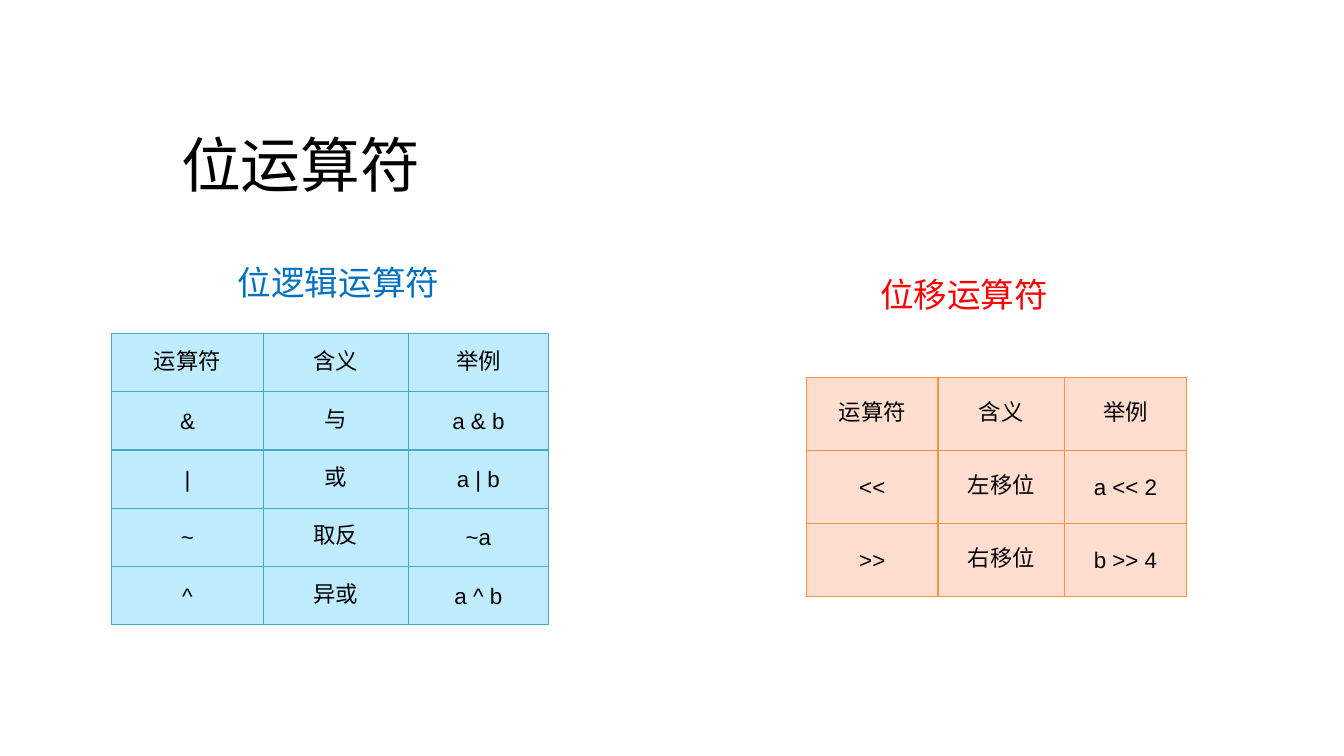
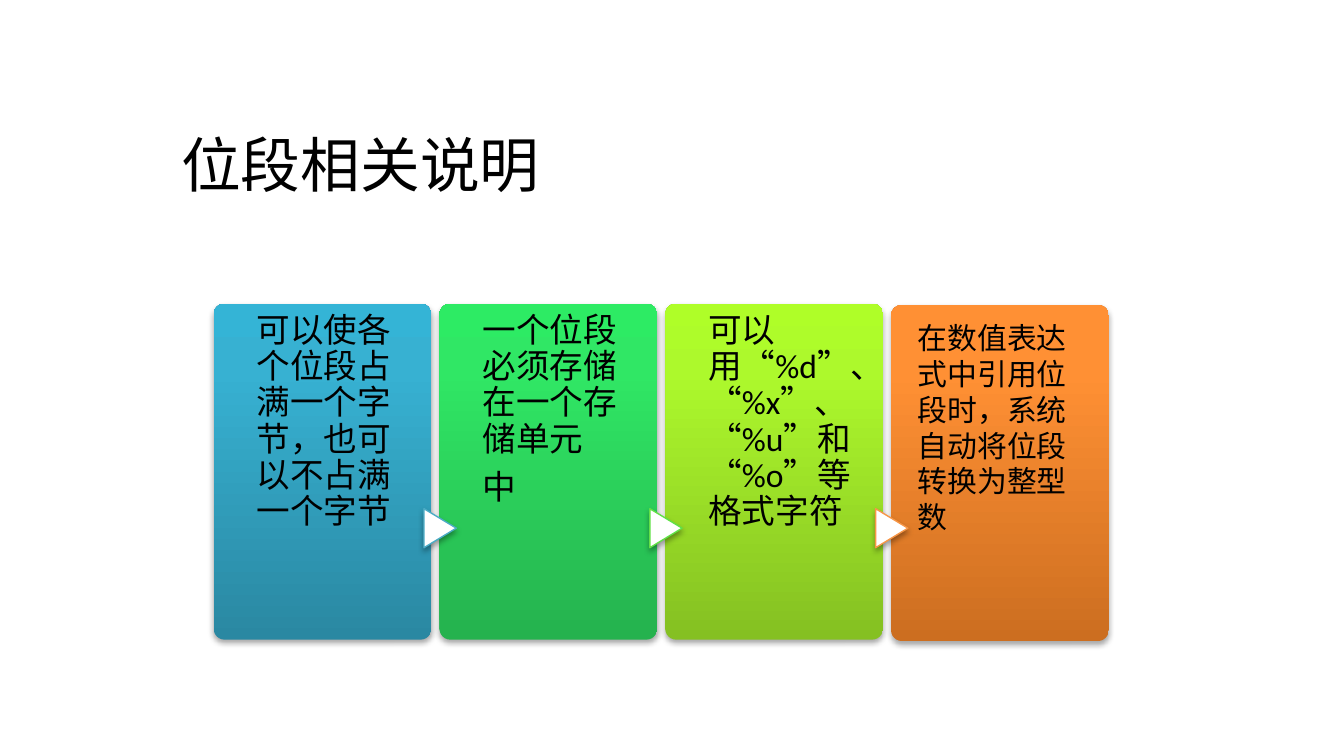
"""Builds two slides on bitwise operators and bit fields."""
from copy import deepcopy

from lxml.etree import SubElement
from pptx import Presentation
from pptx.dml.color import RGBColor
from pptx.enum.shapes import MSO_SHAPE as Preset
from pptx.enum.text import MSO_ANCHOR as Anchor, MSO_AUTO_SIZE as AutoSize, PP_ALIGN as Align
from pptx.oxml.ns import qn
from pptx.util import Inches, Pt

BLACK, WHITE = "000000", "FFFFFF"
HEADINGS = ["运算符", "含义", "举例"]


def color(text):
    return RGBColor.from_string(text)


class Slides:
    columns, rows = 100, 56.25
    head_font, body_font = "Calibri", "Arial"

    def __init__(self):
        self.deck = Presentation()
        self.deck.slide_width = Inches(10)
        self.deck.slide_height = Inches(5.625)
        self.page = None

    def place(self, left, top, width, height):
        column = self.deck.slide_width / self.columns
        row = self.deck.slide_height / self.rows
        return [round(n * unit) for n, unit in zip((left, top, width, height), (column, row) * 2)]

    def new_page(self, title, width):
        self.page = self.deck.slides.add_slide(self.deck.slide_layouts[6])
        self.text([title], (12.5, 9, width, 6.7), 32, self.head_font)

    def style(self, para, size, font, ink=BLACK):
        para.font.size = Pt(size)
        para.font.name = font
        para.font.color.rgb = color(ink)

    def text(self, lines, area, size, font, ink=BLACK, wrap=True):
        box = self.page.shapes.add_textbox(*self.place(*area))
        frame = box.text_frame
        frame.word_wrap = wrap
        frame.text = "\n".join(lines)
        for para in frame.paragraphs:
            self.style(para, size, font, ink)
        return frame

    def caption(self, words, area, ink):
        frame = self.text([words], area, 18, self.body_font, ink, wrap=False)
        frame.auto_size = AutoSize.SHAPE_TO_FIT_TEXT

    def card_text(self, lines, area, size, spacing=None, after=None):
        frame = self.text(lines, area, size, self.head_font)
        frame.margin_left = frame.margin_right = frame.margin_bottom = 0
        frame.margin_top = Inches(0.07)
        for para in frame.paragraphs:
            para.line_spacing = spacing
            para.space_after = after

    def table(self, rows, area, widths, fill, edge):
        grid = self.page.shapes.add_table(len(rows), len(widths), *self.place(*area)).table
        for column, width in zip(grid.columns, widths):
            column.width = self.place(width, 0, 0, 0)[0]
        for r, row in enumerate(rows):
            for c, words in enumerate(row):
                self.cell(grid.cell(r, c), words, fill, edge)

    def cell(self, cell, words, fill, edge):
        cell.text = words
        cell.vertical_anchor = Anchor.MIDDLE
        cell.margin_left = cell.margin_right = Inches(0.07)
        cell.margin_top = cell.margin_bottom = 0
        para = cell.text_frame.paragraphs[0]
        para.alignment = Align.CENTER
        para.line_spacing = Pt(14)
        self.style(para, 12, self.body_font)
        borders = cell._tc.get_or_add_tcPr()
        for side in ("a:lnL", "a:lnR", "a:lnT", "a:lnB"):
            line = SubElement(borders, qn(side), w=str(Pt(0.75)))
            SubElement(SubElement(line, qn("a:solidFill")), qn("a:srgbClr"), val=edge)
        cell.fill.solid()
        cell.fill.fore_color.rgb = color(fill)

    def shadow(self, shape):
        shape.shadow.inherit = False
        effects = shape._element.spPr.find(qn("a:effectLst"))
        outer = SubElement(effects, qn("a:outerShdw"), blurRad=str(Pt(3.1)), dist=str(Pt(1.8)),
                           dir="5400000", rotWithShape="0")
        ink = SubElement(outer, qn("a:srgbClr"), val=BLACK)
        SubElement(ink, qn("a:alpha"), val="35000")

    def card(self, area, shades):
        shape = self.page.shapes.add_shape(Preset.ROUNDED_RECTANGLE, *self.place(*area))
        shape.adjustments[0] = 0.05
        shape.line.fill.background()
        shape.fill.gradient()
        shape.fill.gradient_angle = 90
        stops = shape._element.spPr.find(qn("a:gradFill")).find(qn("a:gsLst"))
        stops.append(deepcopy(stops[0]))
        for stop, position, shade in zip(shape.fill.gradient_stops, (0, 0.8, 1), shades):
            stop.position = position
            stop.color.rgb = color(shade)
        self.shadow(shape)

    def arrow(self, area, edge):
        shape = self.page.shapes.add_shape(Preset.FLOWCHART_EXTRACT, *self.place(*area))
        shape.rotation = 90
        shape.fill.solid()
        shape.fill.fore_color.rgb = color(WHITE)
        shape.line.color.rgb = color(edge)
        shape.line.width = Pt(0.75)
        self.shadow(shape)


def operators(slides):
    slides.new_page("位运算符", 60.8)
    logic = [HEADINGS, ["&", "与", "a & b"], ["|", "或", "a | b"],
             ["~", "取反", "~a"], ["^", "异或", "a ^ b"]]
    shifts = [HEADINGS, ["<<", "左移位", "a << 2"], [">>", "右移位", "b >> 4"]]
    slides.table(logic, (8.3, 24.8, 32.5, 21.7), (11.3, 10.8, 10.4), "BFECFF", "46AAC5")
    slides.table(shifts, (60, 28.1, 28.3, 16.3), (9.8, 9.4, 9.1), "FFDDCF", "F69240")
    slides.caption("位逻辑运算符", (16.7, 19, 17.2, 4), "0070C0")
    slides.caption("位移运算符", (64.5, 19.9, 14.6, 4), "FF0000")


def bit_fields(slides):
    slides.new_page("位段相关说明", 35.8)
    first, pitch, top, width, height = 15.9, 16.8, 22.6, 16.2, 25
    cards = [
        (["可以使各个位段占满一个字节，也可以不占满一个字节"], ("2A88A2", "37B1D2", "34B4D6"), None),
        (["一个位段必须存储在一个存储单元", "中"], ("25B24E", "30E765", "2DEB64"), "4BACC6"),
        (["可以用“%d”、“%x”、“%u”和“%o”等格式字符"], ("85C022", "ADF92C", "AFFE28"), "60E146"),
        (["在数值表达式中引用位段时，系统自动将位段转换为整型数"], ("CC6E20", "FF9034", "FF9136"), "F79646"),
    ]
    for index, (lines, shades, edge) in enumerate(cards):
        left = first + index * pitch
        last = index == len(cards) - 1
        slides.card((left, top + 0.1 * last, width, height), shades)
        if edge:
            slides.arrow((left - 1.4, 38.1, 2.9, 2.4), edge)
        if last:
            slides.card_text(lines, (left + 2, 23.1, 12.1, 19.5), 16)
        else:
            slides.card_text(lines, (left + 3.2, top, 12.1, height), 18, 0.9, Pt(6.3))


def main():
    slides = Slides()
    operators(slides)
    bit_fields(slides)
    slides.deck.save("out.pptx")


if __name__ == "__main__":
    main()
